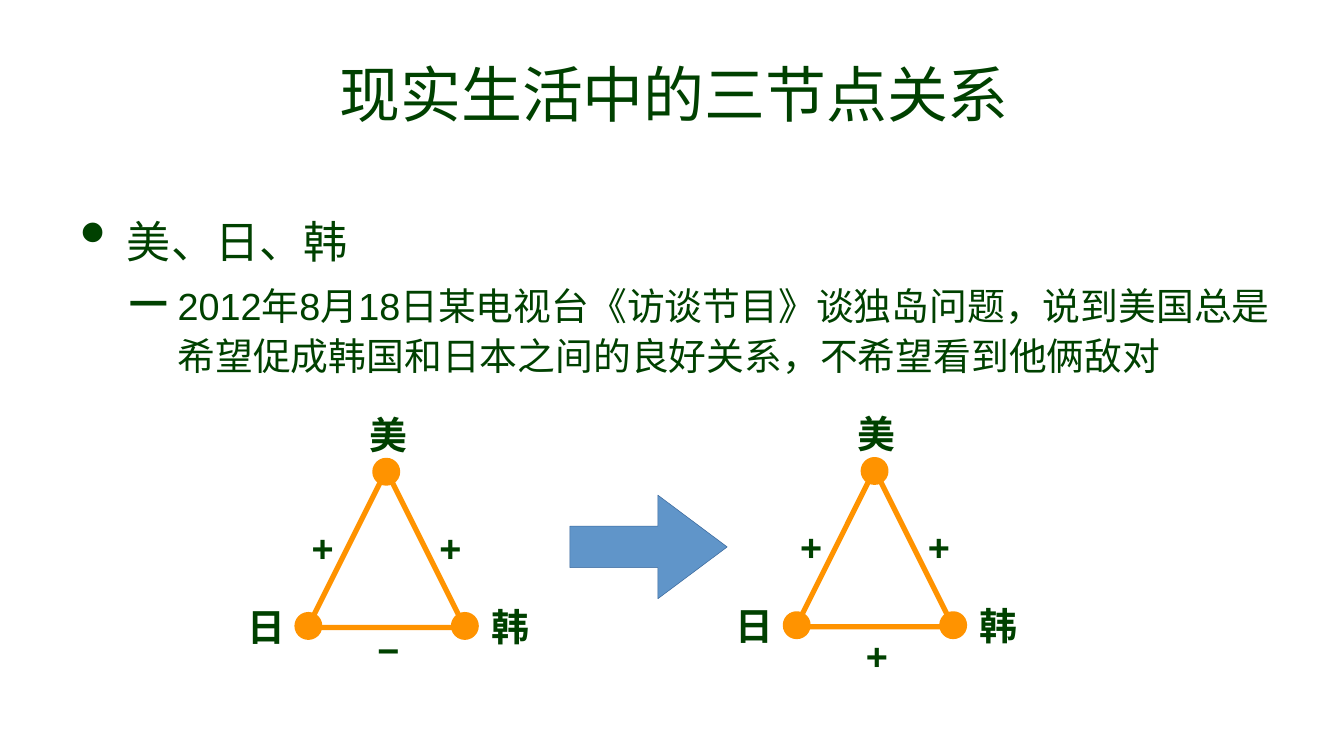
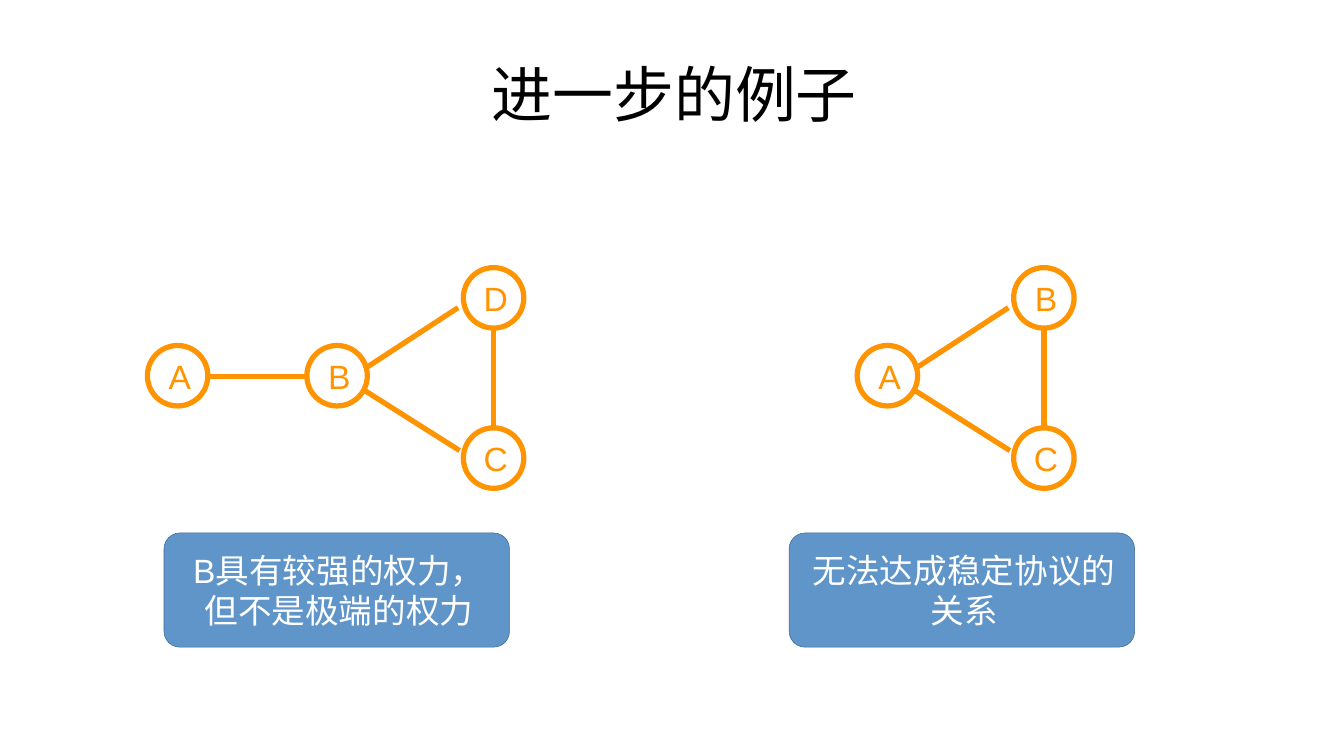
from dataclasses import dataclass

import pptx
import pptx.dml.color
import pptx.enum.shapes
import pptx.enum.text
import pptx.util
from lxml import etree
from pptx.oxml.ns import qn

Inches = pptx.util.Inches
Pt = pptx.util.Pt
SHAPE = pptx.enum.shapes.MSO_SHAPE
ALIGN = pptx.enum.text.PP_ALIGN
MIDDLE = pptx.enum.text.MSO_ANCHOR.MIDDLE

FONT = "Arial"
STROKE = Pt(5)
COLORS = {
    "green": "004100",
    "black": "000000",
    "white": "FFFFFF",
    "orange": "FF9300",
    "blue": "6095C9",
    "edge": "3A689C",
}


@dataclass(frozen=True)
class Box:
    left: float
    top: float
    width: float
    height: float

    def inches(self) -> list:
        return [Inches(v) for v in (self.left, self.top, self.width, self.height)]


@dataclass(frozen=True)
class Triad:
    """Three countries; x is the axis of the triangle, y its apex."""
    x: float
    y: float
    base: str
    drop: float


@dataclass(frozen=True)
class Graph:
    """Hub linked to two nodes on its right, with an optional leaf on its left."""
    x: float
    hub: str
    upper: str
    lower: str
    leaf: str
    left: float
    note: str


TITLE = Box(0.89, 0.13, 16, 2.2)
BODY = Box(0.89, 2.5, 16, 2.77)
SIDE = 2.08
DOT = 0.3
RING = 0.8
HUB_Y = 4.97

TRIADS = [Triad(5.11, 6.22, "−", 2.37), Triad(11.57, 6.21, "+", 2.46)]
GRAPHS = [
    Graph(4.46, "B", "D", "C", "A", 2.17, "B具有较强的权力，但不是极端的权力"),
    Graph(11.74, "A", "B", "C", "", 10.44, "无法达成稳定协议的关系"),
]
POINTS = [
    ("美、日、韩", 42, 0.79, "•"),
    ("2012年8月18日某电视台《访谈节目》谈独岛问题，说到美国总是希望"
     "促成韩国和日本之间的良好关系，不希望看到他俩敌对", 36, 1.46, "–"),
]


def color(name: str):
    return pptx.dml.color.RGBColor.from_string(COLORS[name])


def style(par, size: float, hue: str, bold: bool = False) -> None:
    for run in par.runs:
        run.font.name = FONT
        run.font.size = Pt(size)
        run.font.bold = bold
        run.font.color.rgb = color(hue)


def frame(shape, inset: float = 0, wrap: bool = True):
    """Set the anchor, margins and wrapping of a shape's text."""
    text = shape.text_frame
    text.word_wrap = wrap
    text.vertical_anchor = MIDDLE
    text.margin_left = text.margin_right = Inches(inset)
    text.margin_top = text.margin_bottom = Inches(inset)
    return text


def write(shape, words: str, size: float, hue: str, inset: float = 0,
          bold: bool = False, wrap: bool = True) -> None:
    """Put one centred paragraph into a shape."""
    text = frame(shape, inset, wrap)
    text.text = words
    par = text.paragraphs[0]
    par.alignment = ALIGN.CENTER
    par._p.get_or_add_pPr().set("marL", str(Inches(0.06)))
    style(par, size, hue, bold)


def title(slide, words: str, hue: str) -> None:
    write(slide.shapes.add_textbox(*TITLE.inches()), words, 58, hue)


def draw(slide, kind, box: Box, fill: str = "", line: str = "orange", width=STROKE):
    shape = slide.shapes.add_shape(kind, *box.inches())
    shape.shadow.inherit = False
    if fill:
        shape.fill.solid()
        shape.fill.fore_color.rgb = color(fill)
    else:
        shape.fill.background()
    shape.line.color.rgb = color(line)
    shape.line.width = width
    return shape


def panel(slide, kind, box: Box, *ratios: float):
    shape = draw(slide, kind, box, "blue", "edge", Pt(0.5))
    for i, ratio in enumerate(ratios):
        shape.adjustments[i] = ratio
    return shape


def disc(slide, x: float, y: float, size: float, fill: str = ""):
    """Draw a circle by its centre."""
    return draw(slide, SHAPE.OVAL, Box(x - size / 2, y - size / 2, size, size), fill)


def ring(slide, x: float, y: float, name: str) -> None:
    write(disc(slide, x, y, RING), name, 32, "orange")


def link(slide, x1: float, y1: float, x2: float, y2: float) -> None:
    line = slide.shapes.add_connector(
        pptx.enum.shapes.MSO_CONNECTOR.STRAIGHT,
        Inches(x1), Inches(y1), Inches(x2), Inches(y2))
    line.line.color.rgb = color("orange")
    line.line.width = STROKE
    etree.SubElement(line._element.spPr, qn("a:effectLst"))


def label(slide, x: float, y: float, words: str) -> None:
    """Write a bold sign or country name around a centre."""
    width = 0.53 if words in "+−" else 0.74
    box = Box(x - width / 2, y - 0.36, width, 0.72)
    shape = slide.shapes.add_textbox(*box.inches())
    write(shape, words, 36, "green", 0.06, True, False)


def bullets(slide) -> None:
    text = frame(slide.shapes.add_textbox(*BODY.inches()))
    for i, (words, size, indent, mark) in enumerate(POINTS):
        par = text.add_paragraph() if i else text.paragraphs[0]
        par.text = words
        par.level = i
        par.line_spacing = 1.1
        par.space_before = Pt(10 if i else 0)
        props = par._p.get_or_add_pPr()
        props.set("marL", str(Inches(indent)))
        props.set("indent", str(Inches(-0.62)))
        etree.SubElement(props, qn("a:buSzPct")).set("val", "171000")
        etree.SubElement(props, qn("a:buChar")).set("char", mark)
        style(par, size, "green")


def triad(slide, t: Triad) -> None:
    half = SIDE / 2
    draw(slide, SHAPE.ISOSCELES_TRIANGLE, Box(t.x - half, t.y, SIDE, SIDE))
    for dx, dy in [(0, 0.02), (-half + 0.01, 2.06), (half, 2.06)]:
        disc(slide, t.x + dx, t.y + dy, DOT, "orange")
    for dx, dy, words in [
        (-0.87, 1.02, "+"), (0.82, 1.02, "+"), (0, t.drop, t.base),
        (0, -0.48, "美"), (-1.62, 2.06, "日"), (1.61, 2.06, "韩"),
    ]:
        label(slide, t.x + dx, t.y + dy, words)


def graph(slide, g: Graph) -> None:
    far = g.x + 2.07
    ring(slide, g.x, HUB_Y, g.hub)
    ring(slide, far, HUB_Y + 1.09, g.lower)
    ring(slide, far, HUB_Y - 1.03, g.upper)
    link(slide, g.x + 0.36, 4.88, g.x + 1.6, 4.07)
    link(slide, g.x + 0.34, 5.15, g.x + 1.62, 5.96)
    link(slide, far, 4.32, far, 5.63)
    if g.leaf:
        ring(slide, g.x - 2.11, HUB_Y, g.leaf)
        link(slide, g.x - 1.68, 4.98, g.x - 0.41, 4.98)
    note = panel(slide, SHAPE.ROUNDED_RECTANGLE, Box(g.left, 7.05, 4.57, 1.51), 0.138)
    write(note, g.note, 32, "white", 0.06)


def main() -> None:
    deck = pptx.Presentation()
    deck.slide_width, deck.slide_height = Inches(17.78), Inches(10)
    blank = deck.slide_layouts[6]

    slide = deck.slides.add_slide(blank)
    title(slide, "现实生活中的三节点关系", "green")
    bullets(slide)
    for t in TRIADS:
        triad(slide, t)
    panel(slide, SHAPE.RIGHT_ARROW, Box(7.54, 6.55, 2.08, 1.37), 0.4, 0.669)

    slide = deck.slides.add_slide(blank)
    title(slide, "进一步的例子", "black")
    for g in GRAPHS:
        graph(slide, g)

    deck.save("out.pptx")


if __name__ == "__main__":
    main()
